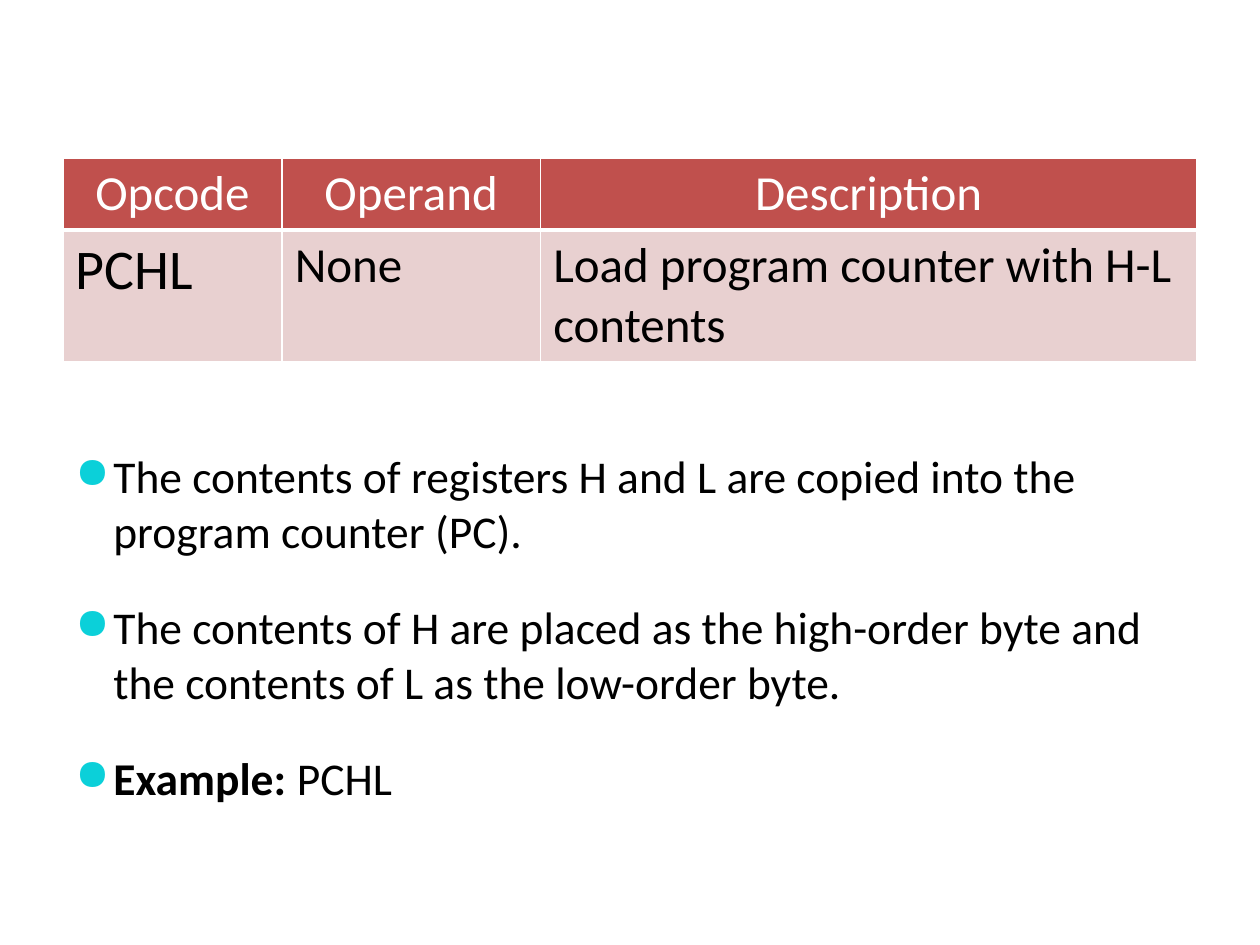
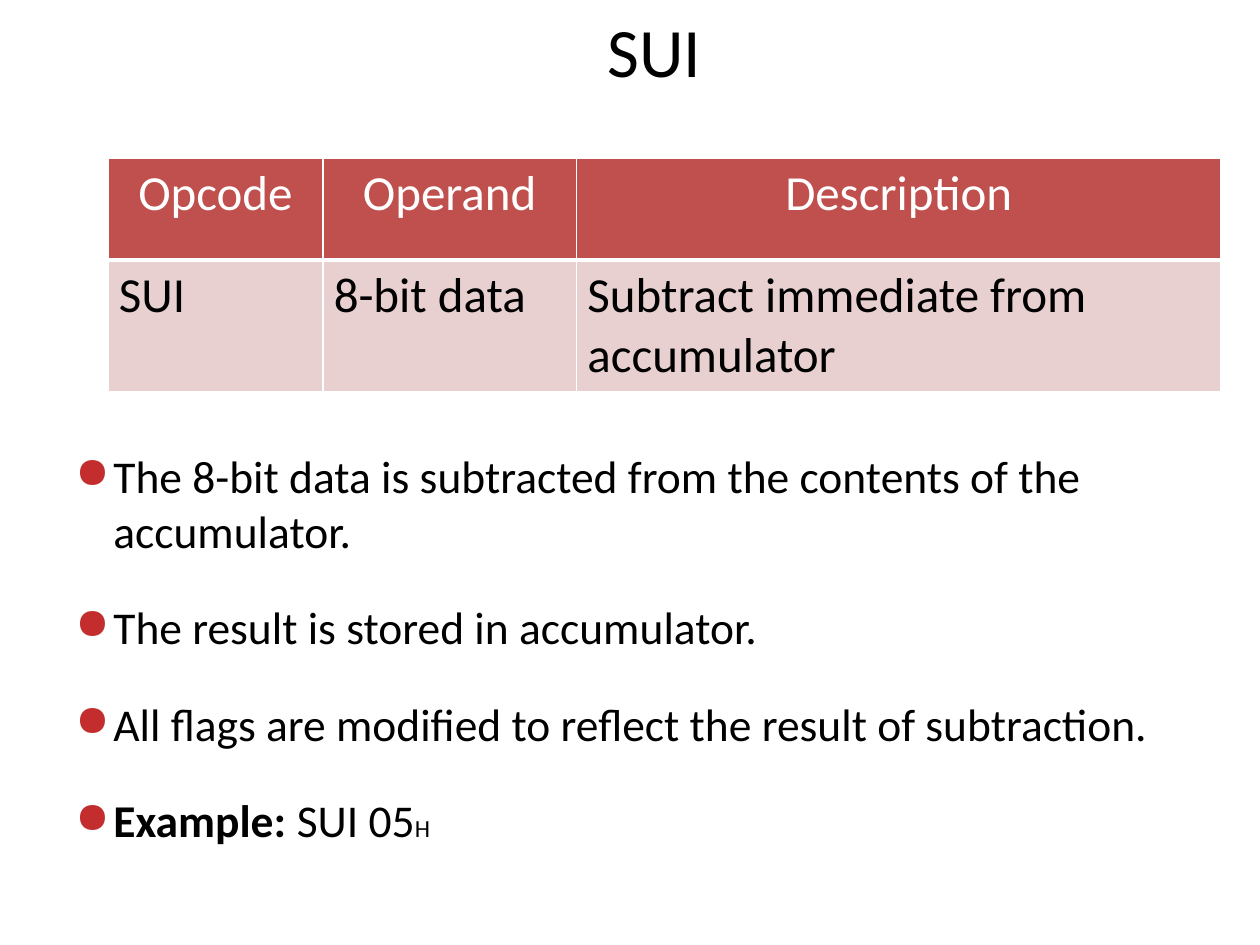
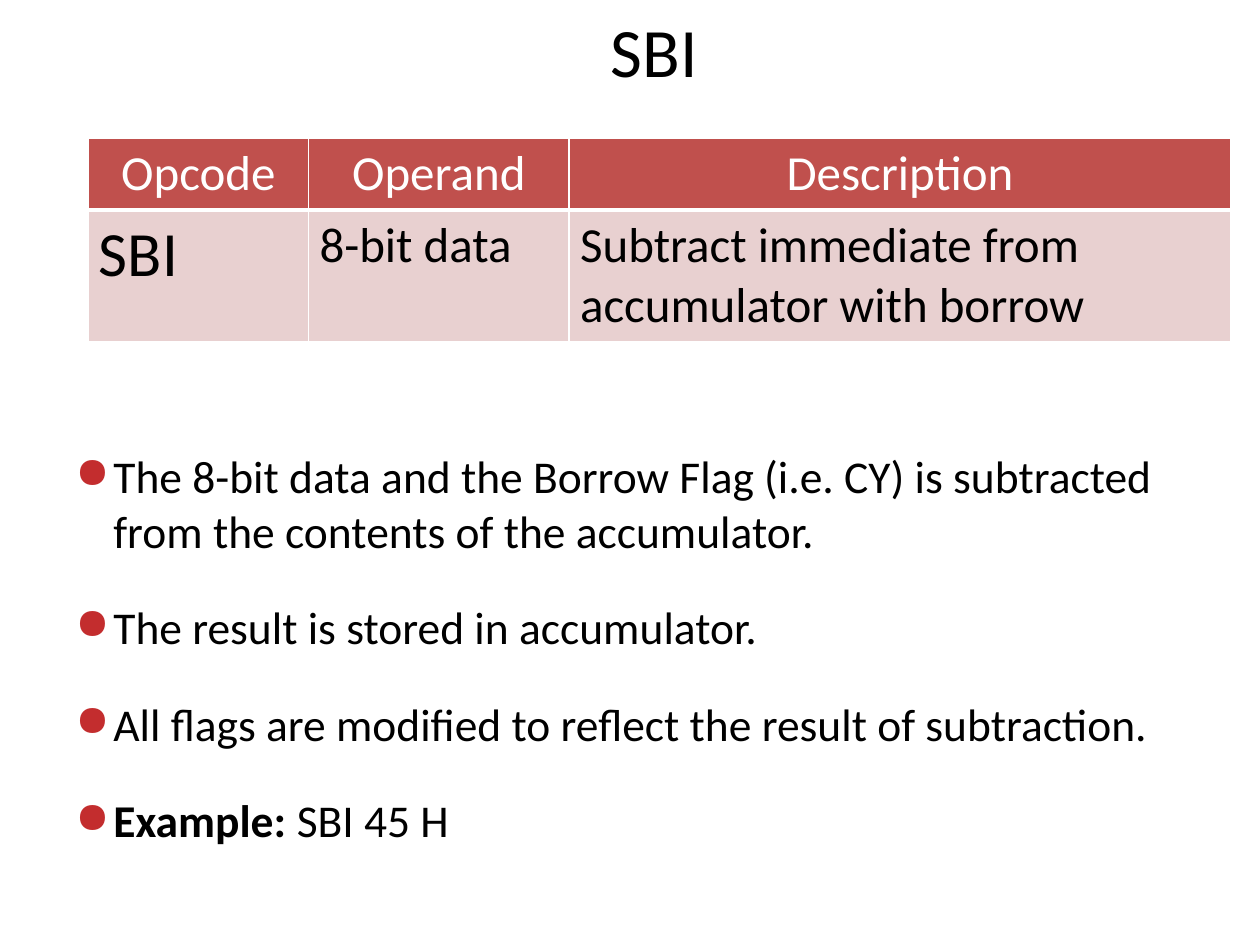
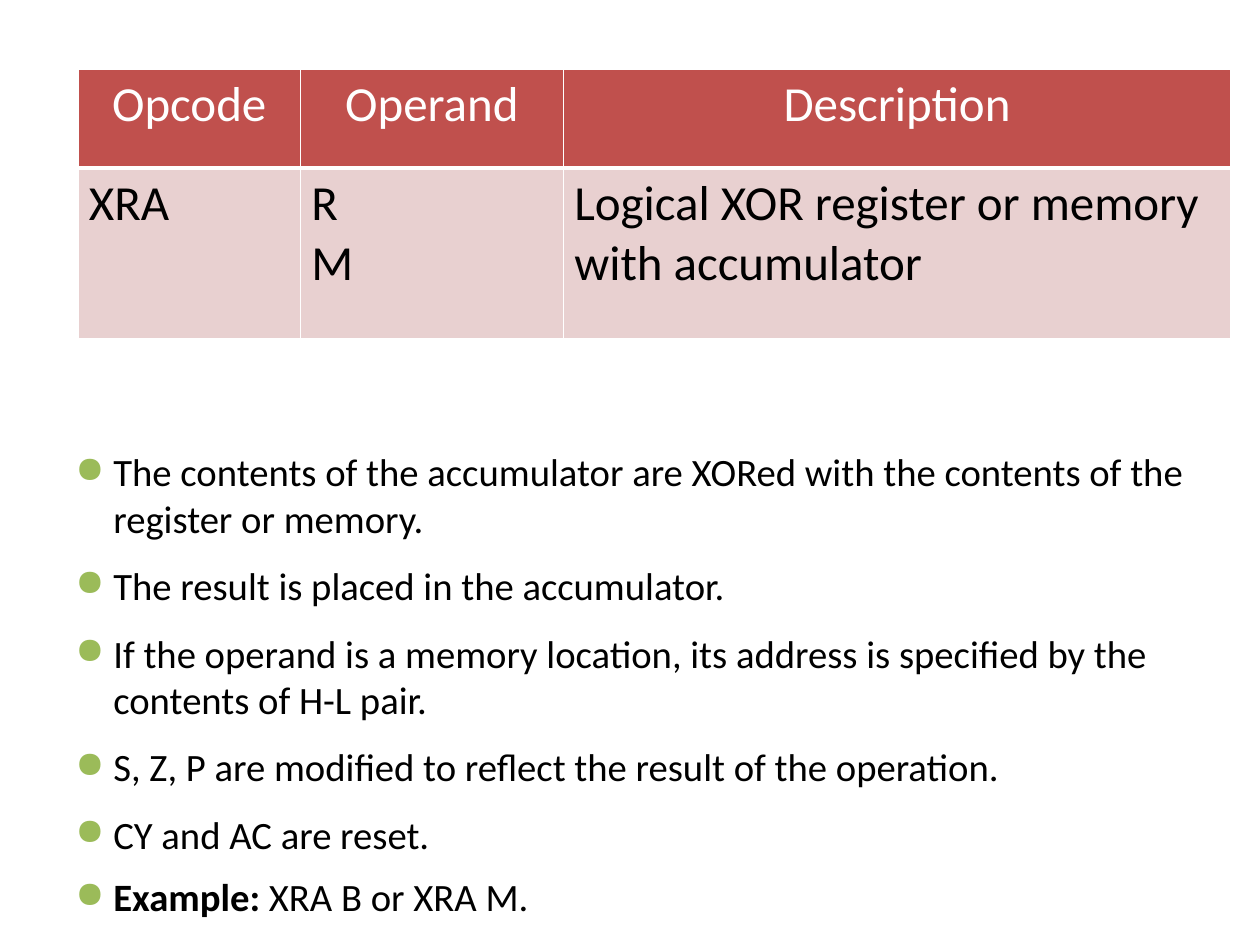
"""Build four slides that describe processor instructions: PCHL, SUI, SBI and XRA."""
from dataclasses import dataclass

from lxml import etree
from pptx import Presentation
from pptx.dml.color import RGBColor
from pptx.enum.text import MSO_ANCHOR, MSO_AUTO_SIZE, PP_ALIGN
from pptx.oxml.ns import qn
from pptx.util import Emu, Pt

CENTER, LEFT = PP_ALIGN.CENTER, PP_ALIGN.LEFT
MIDDLE = MSO_ANCHOR.MIDDLE
NO_AUTOFIT = MSO_AUTO_SIZE.NONE

EMU_PER_PX = 914400 / 126
SLIDE_SIZE = (1260, 945)
TITLE_BOX = (78, 0, 1153, 100)
NOTES_BOX = (63, 442, 1134, 428)
BULLET_INDENT = 38
CELL_INSET_Y = 6
COLUMN_SHARES = (0.193, 0.228, 0.579)
HEADINGS = ("Opcode", "Operand", "Description")
FONT = "Calibri"
TITLE_SIZE = 39.6
TABLE_SIZE = 28
COLORS = {
    "text": "000000",
    "white": "FFFFFF",
    "header": "C0504D",
    "body": "E8D0D0",
    "cyan": "0BD0D9",
    "red": "C32D2E",
    "green": "9BBB59",
}


@dataclass(frozen=True)
class Span:
    text: str
    bold: bool = False
    size: float | None = None


@dataclass(frozen=True)
class Note:
    spans: tuple[Span, ...]
    line_spacing: float | None = None


@dataclass(frozen=True)
class Instruction:
    opcode: str
    operand: str
    description: str
    table_box: tuple[int, int, int]
    row_heights: tuple[int, int]
    notes: tuple[Note, ...]
    bullet_color: str
    title: str = ""
    opcode_size: float = TABLE_SIZE
    inset_x: int = 11
    note_size: float = 26
    note_gap: float = 24


def statement(text: str) -> Note:
    return Note((Span(text),))


def example(*code: Span, line_spacing: float | None = None) -> Note:
    return Note((Span("Example:", bold=True), *code), line_spacing)


RESULT_STORED = statement("The result is stored in accumulator.")
FLAGS_MODIFIED = statement("All flags are modified to reflect the result of subtraction.")

INSTRUCTIONS = (
    Instruction(
        "PCHL", "None", "Load program counter with H-L contents",
        table_box=(63, 158, 1134), row_heights=(72, 132),
        notes=(
            statement("The contents of registers H and L are copied into the program counter (PC)."),
            statement("The contents of H are placed as the high-order byte and "
                      "the contents of L as the low-order byte."),
            example(Span(" PCHL")),
        ),
        bullet_color="cyan", opcode_size=32, inset_x=13,
    ),
    Instruction(
        "SUI", "8-bit data", "Subtract immediate from accumulator",
        table_box=(108, 158, 1113), row_heights=(102, 132),
        notes=(
            statement("The 8-bit data is subtracted from the contents of the accumulator."),
            RESULT_STORED,
            FLAGS_MODIFIED,
            example(Span(" SUI 05"), Span("H", size=14)),
        ),
        bullet_color="red", title="SUI",
    ),
    Instruction(
        "SBI", "8-bit data", "Subtract immediate from accumulator with borrow",
        table_box=(88, 138, 1143), row_heights=(72, 132),
        notes=(
            statement("The 8-bit data and the Borrow Flag (i.e. CY) is subtracted "
                      "from the contents of the accumulator."),
            RESULT_STORED,
            FLAGS_MODIFIED,
            example(Span(" SBI 45 H")),
        ),
        bullet_color="red", title="SBI", opcode_size=36,
    ),
    Instruction(
        "XRA", "R\nM", "Logical XOR register or memory with accumulator",
        table_box=(78, 69, 1153), row_heights=(99, 171),
        notes=(
            statement("The contents of the accumulator are XORed with the contents "
                      "of the register or memory."),
            statement("The result is placed in the accumulator."),
            statement("If the operand is a memory location, its address is specified "
                      "by the contents of H-L pair."),
            statement("S, Z, P are modified to reflect the result of the operation."),
            statement("CY and AC are reset."),
            example(Span(" XRA B or XRA M."), line_spacing=0.9),
        ),
        bullet_color="green", note_size=22.1, note_gap=12,
    ),
)


def px(length: float) -> Emu:
    return Emu(round(length * EMU_PER_PX))


def rgb(color: str) -> RGBColor:
    return RGBColor.from_string(COLORS[color])


def add_text(paragraph, text: str, *, size: float, color: str = "text",
             bold: bool = False, align=LEFT) -> None:
    paragraph.alignment = align
    run = paragraph.add_run()
    run.text = text
    run.font.name = FONT
    run.font.size = Pt(size)
    run.font.bold = bold
    run.font.color.rgb = rgb(color)


def paragraph_at(frame, index: int):
    return frame.add_paragraph() if index else frame.paragraphs[0]


def set_borders(cell, bottom: float) -> None:
    properties = cell._tc.get_or_add_tcPr()
    widths = {"a:lnL": 1, "a:lnR": 1, "a:lnT": 1, "a:lnB": bottom}
    for position, (side, width) in enumerate(widths.items()):
        line = etree.Element(qn(side), w=str(Pt(width)))
        fill = etree.SubElement(line, qn("a:solidFill"))
        etree.SubElement(fill, qn("a:srgbClr"), val=COLORS["white"])
        properties.insert(position, line)


def fill_cell(cell, text: str, *, size: float, inset: int, is_header: bool) -> None:
    cell.margin_left = cell.margin_right = px(inset)
    cell.margin_top = cell.margin_bottom = px(CELL_INSET_Y)
    cell.fill.solid()
    cell.fill.fore_color.rgb = rgb("header" if is_header else "body")
    set_borders(cell, bottom=3 if is_header else 1)
    for index, line in enumerate(text.split("\n")):
        add_text(paragraph_at(cell.text_frame, index), line, size=size,
                 color="white" if is_header else "text",
                 align=CENTER if is_header else LEFT)


def add_instruction_table(slide, item: Instruction) -> None:
    left, top, width = item.table_box
    frame = slide.shapes.add_table(2, len(HEADINGS), px(left), px(top),
                                   px(width), px(sum(item.row_heights)))
    table = frame.table
    for column, share in zip(table.columns, COLUMN_SHARES):
        column.width = px(width * share)
    for row, height in zip(table.rows, item.row_heights):
        row.height = px(height)
    details = (item.opcode, item.operand, item.description)
    sizes = (item.opcode_size, TABLE_SIZE, TABLE_SIZE)
    for index, (heading, detail, size) in enumerate(zip(HEADINGS, details, sizes)):
        fill_cell(table.cell(0, index), heading, size=TABLE_SIZE,
                  inset=item.inset_x, is_header=True)
        fill_cell(table.cell(1, index), detail, size=size,
                  inset=item.inset_x, is_header=False)


def add_bullet(paragraph, color: str) -> None:
    properties = paragraph._p.get_or_add_pPr()
    properties.set("marL", str(px(BULLET_INDENT)))
    properties.set("indent", str(-px(BULLET_INDENT)))
    bullet_color = etree.SubElement(properties, qn("a:buClr"))
    etree.SubElement(bullet_color, qn("a:srgbClr"), val=COLORS[color])
    etree.SubElement(properties, qn("a:buSzPct"), val="95000")
    etree.SubElement(properties, qn("a:buChar"), char="●")


def add_notes_list(slide, item: Instruction) -> None:
    frame = slide.shapes.add_textbox(*map(px, NOTES_BOX)).text_frame
    frame.word_wrap = True
    for index, note in enumerate(item.notes):
        paragraph = paragraph_at(frame, index)
        add_bullet(paragraph, item.bullet_color)
        paragraph.space_after = Pt(item.note_gap)
        if note.line_spacing:
            paragraph.line_spacing = note.line_spacing
        for span in note.spans:
            add_text(paragraph, span.text, size=span.size or item.note_size, bold=span.bold)


def set_title(slide, text: str) -> None:
    title = slide.shapes.title
    title.left, title.top, title.width, title.height = map(px, TITLE_BOX)
    title.text_frame.auto_size = NO_AUTOFIT
    title.text_frame.vertical_anchor = MIDDLE
    add_text(title.text_frame.paragraphs[0], text, size=TITLE_SIZE, align=CENTER)


def main() -> None:
    deck = Presentation()
    deck.slide_width, deck.slide_height = map(px, SLIDE_SIZE)
    title_only = deck.slide_layouts.get_by_name("Title Only")
    blank = deck.slide_layouts.get_by_name("Blank")
    for item in INSTRUCTIONS:
        slide = deck.slides.add_slide(title_only if item.title else blank)
        if item.title:
            set_title(slide, item.title)
        add_instruction_table(slide, item)
        add_notes_list(slide, item)
    deck.save("out.pptx")


if __name__ == "__main__":
    main()
